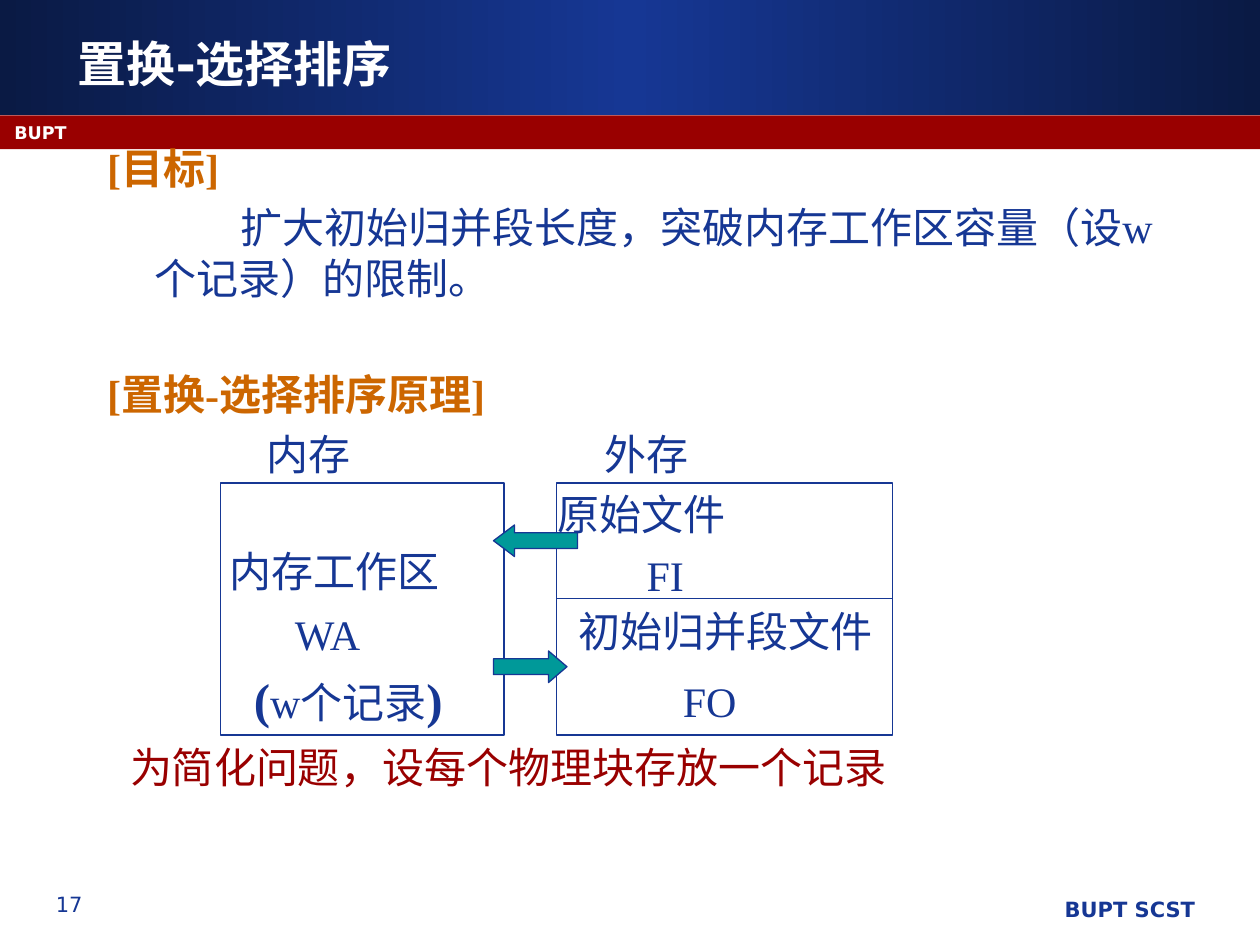
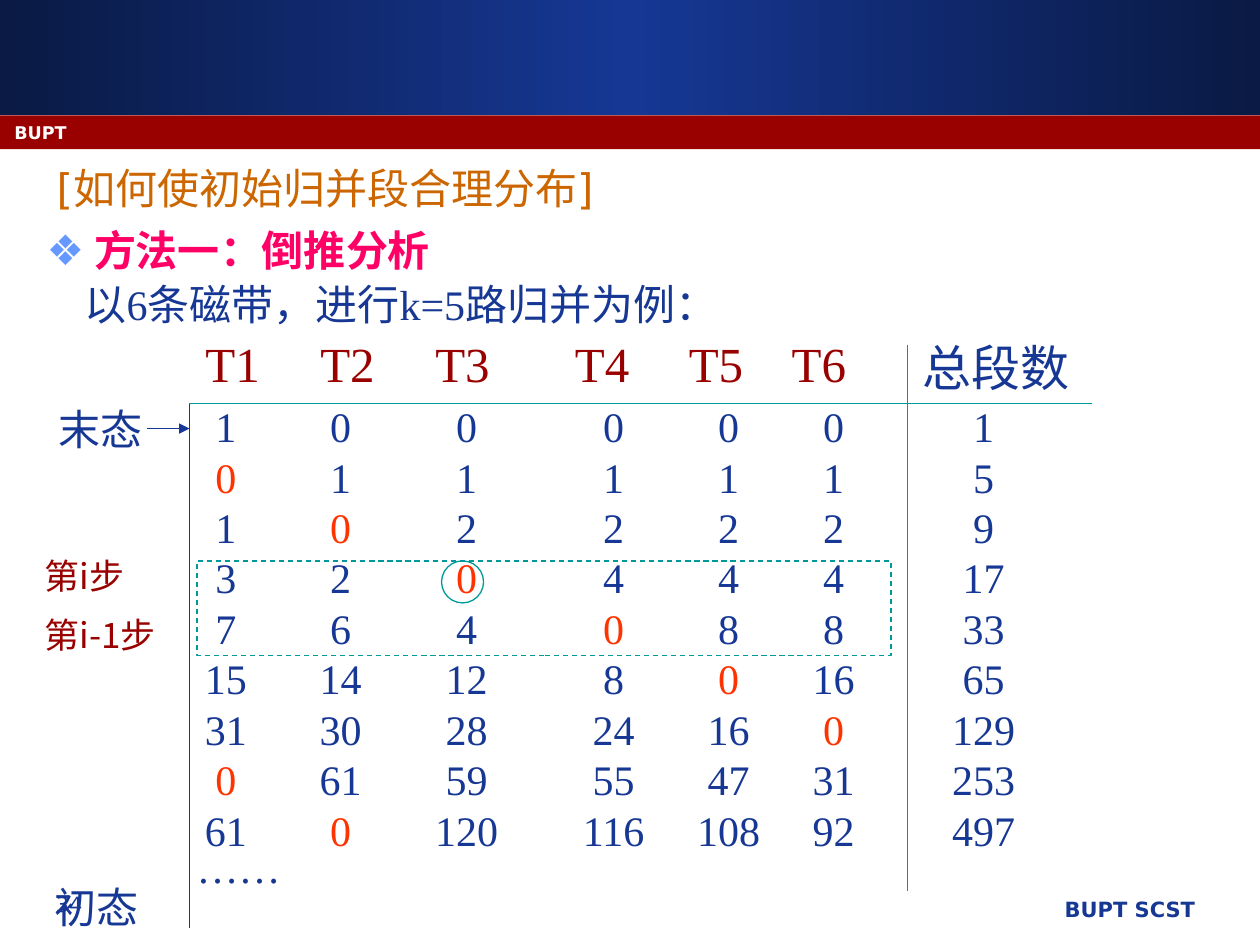
from lxml import etree
from pptx import Presentation
from pptx.dml.color import RGBColor
from pptx.enum.dml import MSO_LINE
from pptx.enum.shapes import MSO_CONNECTOR, MSO_SHAPE
from pptx.enum.text import MSO_ANCHOR, MSO_AUTO_SIZE, PP_ALIGN
from pptx.oxml.ns import qn
from pptx.util import Inches, Pt

RECT, OVAL = MSO_SHAPE.RECTANGLE, MSO_SHAPE.OVAL
LEFT_ARROW, RIGHT_ARROW = MSO_SHAPE.LEFT_ARROW, MSO_SHAPE.RIGHT_ARROW
STRAIGHT, DASH = MSO_CONNECTOR.STRAIGHT, MSO_LINE.DASH
LEFT, CENTER, RIGHT = PP_ALIGN.LEFT, PP_ALIGN.CENTER, PP_ALIGN.RIGHT
MIDDLE, TOP = MSO_ANCHOR.MIDDLE, MSO_ANCHOR.TOP
NO_FIT = MSO_AUTO_SIZE.NONE

COLORS = {
    "navy": "163794", "night": "0A1A44", "red": "990000", "white": "FFFFFF",
    "orange": "CC6600", "pink": "FF0066", "zero": "FF3300",
    "teal": "009999", "bullet": "6699FF",
}
SANS, SERIF, CJK = "DejaVu Sans", "Times New Roman", "Noto Sans CJK SC"
WIDTH, HEIGHT = Inches(10), Inches(7.5)
COLS = 120  # the slide is a grid of 120 columns by 90 rows
HANG = 4.5  # hanging indent of body text, in columns

HEADERS = ["T1", "T2", "T3", "T4", "T5", "T6", "总段数"]
HEADER_SHIFTS = [0.65, 0.65, -0.4, -1.1, -1.2, -1.4, 1.2]
COLUMN_WIDTHS = [12.2, 9.7, 14.3, 13.7, 8.2, 11.8, 16.8]
HEADER_ROW, VALUE_ROW = 7.2, 4.66
SEGMENTS = [
    [1, 0, 0, 0, 0, 0, 1],
    [0, 1, 1, 1, 1, 1, 5],
    [1, 0, 2, 2, 2, 2, 9],
    [3, 2, 0, 4, 4, 4, 17],
    [7, 6, 4, 0, 8, 8, 33],
    [15, 14, 12, 8, 0, 16, 65],
    [31, 30, 28, 24, 16, 0, 129],
    [0, 61, 59, 55, 47, 31, 253],
    [61, 0, 120, 116, 108, 92, 497],
]


def grid(units):
    return round(WIDTH * units / COLS)


def rgb(name):
    return RGBColor.from_string(COLORS[name])


def style(font, color, size=24, name=SERIF, bold=False):
    font.name, font.size, font.bold = name, Pt(size), bold
    font.color.rgb = rgb(color)


def add_shape(s, kind, box, fill=None, line=None, dash=None):
    sp = s.shapes.add_shape(kind, *map(grid, box))
    sp.shadow.inherit = False
    if fill:
        sp.fill.solid()
        sp.fill.fore_color.rgb = rgb(fill)
    else:
        sp.fill.background()
    if line:
        sp.line.color.rgb, sp.line.width = rgb(line), Pt(0.75)
        if dash:
            sp.line.dash_style = dash
    else:
        sp.line.fill.background()
    return sp


def add_line(s, start, end, color, width=0.75, arrow=False):
    cn = s.shapes.add_connector(STRAIGHT, *map(grid, (*start, *end)))
    cn.line.color.rgb, cn.line.width = rgb(color), Pt(width)
    sp_pr = cn.element.spPr
    if arrow:
        etree.SubElement(sp_pr.find(qn("a:ln")), qn("a:tailEnd"), type="triangle")
    etree.SubElement(sp_pr, qn("a:effectLst"))


def add_label(s, box, text, color, size=24, name=SERIF, bold=False, align=LEFT, gap=0):
    tf = s.shapes.add_textbox(*map(grid, box)).text_frame
    tf.word_wrap = True
    tf.text = text
    for i, p in enumerate(tf.paragraphs):
        p.alignment = align
        if i:
            p.space_before = Pt(gap)
        for r in p.runs:
            style(r.font, color, size, name, bold)
    return tf


def place(sp, box, anchor):
    """Move a placeholder and return its text frame."""
    sp.left, sp.top, sp.width, sp.height = map(grid, box)
    tf = sp.text_frame
    tf.word_wrap, tf.auto_size, tf.vertical_anchor = True, NO_FIT, anchor
    return tf


def set_title(s, box, text, **font):
    tf = place(s.shapes.title, box, MIDDLE)
    tf.text = text
    p = tf.paragraphs[0]
    p.alignment = LEFT
    style(p.runs[0].font, name=SANS, **font)


def add_paragraph(tf, text, left=0, first=0, before=4.8, spacing=1.0, bullet=None, **font):
    is_first = not tf.text
    p = tf.paragraphs[0] if is_first else tf.add_paragraph()
    p.text = text
    p_pr = p._p.get_or_add_pPr()
    p_pr.set("marL", str(grid(left)))
    p_pr.set("indent", str(grid(first)))
    if bullet:
        color = etree.SubElement(p_pr, qn("a:buClr"))
        etree.SubElement(color, qn("a:srgbClr"), val=COLORS["bullet"])
        etree.SubElement(p_pr, qn("a:buChar"), char=bullet)
    else:
        etree.SubElement(p_pr, qn("a:buNone"))
    p.alignment, p.line_spacing = LEFT, spacing
    p.space_before = Pt(0 if is_first else before)
    style(p.runs[0].font, **font)


def add_bands(s):
    """Put the two header bands on the layout that the slides share."""
    blue = add_shape(s, RECT, (0, 0, COLS, 10.95), "navy")
    blue.fill.gradient()
    blue.fill.gradient_angle = 0
    stops = blue.element.spPr.find(qn("a:gradFill")).find(qn("a:gsLst"))
    for stop in list(stops):
        stops.remove(stop)
    for pos, name in ((0, "night"), (50000, "navy"), (100000, "night")):
        stop = etree.SubElement(stops, qn("a:gs"), pos=str(pos))
        etree.SubElement(stop, qn("a:srgbClr"), val=COLORS[name])
    red = add_shape(s, RECT, (0, 11, COLS, 3.2), "red")
    for band in (red, blue):
        s.slide_layout.shapes.element.insert(2, band.element)


def add_marks(s, number):
    add_label(s, (50.5, 84.8, 64.5, 4.2), "BUPT SCST", "navy", 12, SANS, True, RIGHT)
    add_label(s, (1.4, 84.3, 10.4, 4.2), number, "navy", 12, SANS, align=CENTER)
    add_label(s, (0.2, 11, 111, 3), "BUPT", "white", 10, SANS, True)


def add_memory_diagram(s, x, y):
    """Draw memory and external storage with x, y as the top left corner."""
    disk_x, disk_w, height, split = x + 32, 32, 24, y + 11
    add_shape(s, RECT, (x, y, 27, height), line="navy")
    add_shape(s, RECT, (disk_x, y, disk_w, height), line="navy")
    add_line(s, (disk_x, split), (disk_x + disk_w, split), "navy")
    for text, dx, dy, width in (
        ("内存", 3.25, -5.8, 12),
        ("外存", 35.4, -5.8, 12),
        ("原始文件", 30.95, -0.1, 20),
        ("内存工作区", -0.3, 5.4, 25),
        ("FI", 39.4, 5.7, 8),
        ("WA", 5.9, 11.35, 10),
        ("初始归并段文件", 32.95, 11.05, 32),
        ("FO", 42.85, 17.7, 9),
    ):
        add_label(s, (x + dx, y + dy, width, 6), text, "navy")
    p = add_label(s, (x + 2, y + 17.2, 24, 6.5), "", "navy").paragraphs[0]
    for text, size in (("(", 28), ("w个记录", 24), (")", 28)):
        r = p.add_run()
        r.text = text
        style(r.font, "navy", size, bold=size == 28)
    for kind, dy, width in ((LEFT_ARROW, 4, 8), (RIGHT_ARROW, 16, 7)):
        arrow = add_shape(s, kind, (x + 26, y + dy, width, 3), "teal", "navy")
        arrow.adjustments[1] = width / 12
    note = "为简化问题，设每个物理块存放一个记录"
    add_label(s, (x - 9.8, y + 24, 80, 6), note, "red")


def build_principle(s):
    set_title(s, (6.2, 1.5, 102, 9), "置换-选择排序", color="white", size=28, bold=True)
    tf = place(s.placeholders[1], (9, 13, 102, 28), TOP)
    add_paragraph(tf, "[目标]", color="orange", bold=True)
    goal = "扩大初始归并段长度，突破内存工作区容量（设w个记录）的限制。"
    add_paragraph(tf, goal, left=HANG, first=8.2, color="navy")
    add_paragraph(tf, "[置换-选择排序原理]", before=38, color="orange", bold=True)
    add_memory_diagram(s, 21, 46)


def fill_cell(cell, text, color, size, shift=0):
    """Centre text in a clear cell, moved sideways by shift columns."""
    cell.fill.background()
    cell.vertical_anchor = MIDDLE
    cell.margin_top = cell.margin_bottom = 0
    cell.margin_left, cell.margin_right = grid(max(2 * shift, 0)), grid(max(-2 * shift, 0))
    cell.text = text
    p = cell.text_frame.paragraphs[0]
    p.alignment = CENTER
    style(p.runs[0].font, color, size)


def add_segment_table(s, x, y):
    """Place the table of segments; y is the line below its header."""
    rows, cols = len(SEGMENTS) + 1, len(HEADERS)
    height = HEADER_ROW + VALUE_ROW * len(SEGMENTS)
    box = (x, y - HEADER_ROW, sum(COLUMN_WIDTHS), height)
    table = s.shapes.add_table(rows, cols, *map(grid, box)).table
    table.first_row = table.horz_banding = False
    for i, row in enumerate(table.rows):
        row.height = grid(VALUE_ROW if i else HEADER_ROW)
    for j, (head, width, shift) in enumerate(zip(HEADERS, COLUMN_WIDTHS, HEADER_SHIFTS)):
        table.columns[j].width = grid(width)
        color = "red" if head.startswith("T") else "navy"
        fill_cell(table.cell(0, j), head, color, 28, shift)
        for i, values in enumerate(SEGMENTS):
            color = "zero" if i and values[j] == 0 else "navy"
            fill_cell(table.cell(i + 1, j), str(values[j]), color, 24)


def add_table_marks(s, x, y):
    """Rule the table and label its rows; x, y is where the rules cross."""
    total_x, step_y = x + 68.4, y + 15
    add_line(s, (x, y), (x, y + 50), "navy")
    add_line(s, (x - 4, y + 2.4), (x, y + 2.4), "navy", 1, arrow=True)
    add_label(s, (x - 14, y + 44.9, 12, 6), "初态", "navy")
    add_label(s, (x - 13.7, y - 0.6, 11, 6), "末态", "navy")
    add_label(s, (x - 0.5, y + 41.1, 12, 6), "……", "navy")
    add_line(s, (x, y), (x + 86, y), "teal")
    add_line(s, (total_x, y - 5.6), (total_x, y + 46.4), "teal")
    add_shape(s, RECT, (x + 0.7, step_y, 66.1, 9), line="teal", dash=DASH)
    add_shape(s, OVAL, (x + 24, step_y, 4, 4), line="teal")
    add_label(s, (x - 15, step_y - 1.2, 22, 11.3), "第i步\n第i-1步", "red", 20, CJK, gap=10)


def build_distribution(s):
    set_title(s, (4.2, 14.4, 102, 7), "[如何使初始归并段合理分布]", color="orange")
    tf = place(s.placeholders[1], (3.25, 21.35, 111, 11), TOP)
    add_paragraph(tf, "方法一：倒推分析", left=HANG, first=-HANG, spacing=0.9,
                  bullet="❖", color="pink", bold=True)
    add_paragraph(tf, "以6条磁带，进行k=5路归并为例：", left=3.6, spacing=0.9, color="navy")
    add_segment_table(s, 15.4, 38.4)
    add_table_marks(s, 18.05, 38.42)


def main():
    prs = Presentation()
    prs.slide_width, prs.slide_height = WIDTH, HEIGHT
    layout = prs.slide_layouts[1]
    for number, build in (("17", build_principle), ("34", build_distribution)):
        s = prs.slides.add_slide(layout)
        if len(prs.slides) == 1:
            add_bands(s)
        add_marks(s, number)
        build(s)
    prs.save("out.pptx")


if __name__ == "__main__":
    main()
